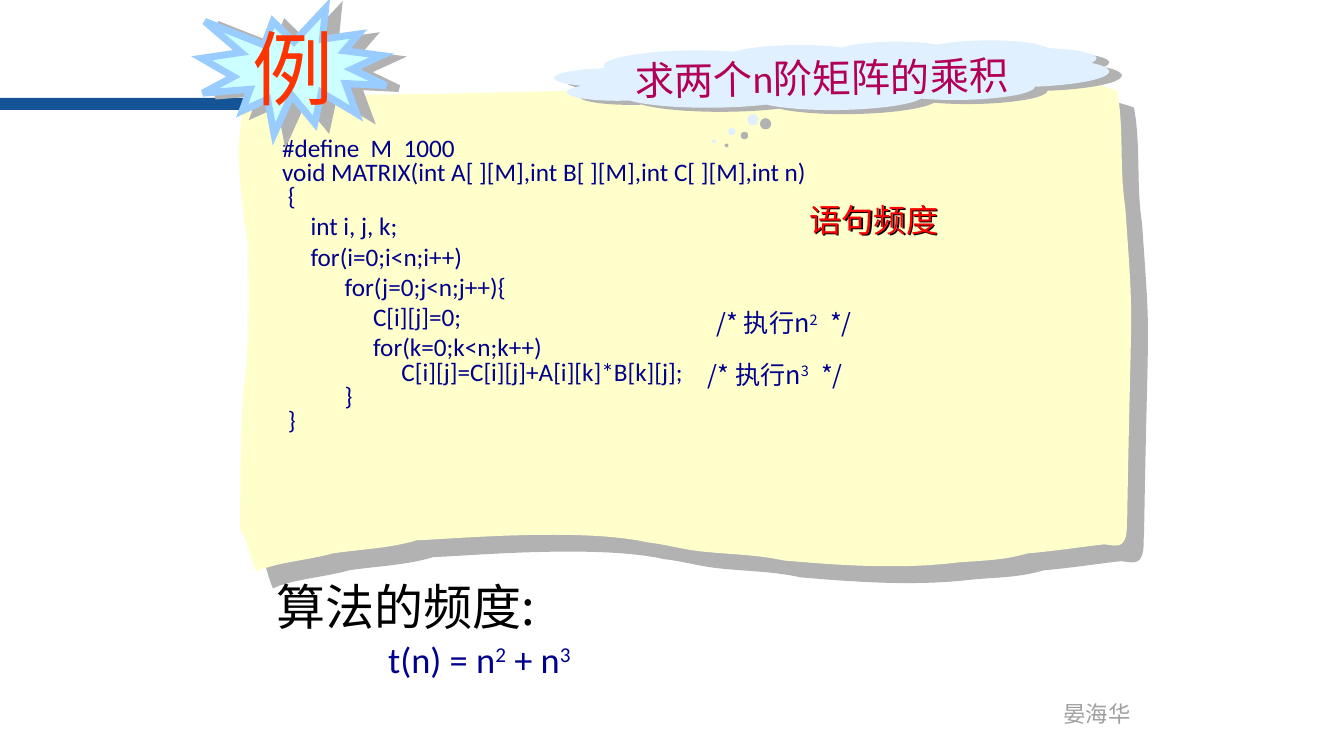
from lxml import etree
from pptx import Presentation
from pptx import util as u
from pptx.dml.color import RGBColor
from pptx.enum import shapes, text
from pptx.oxml import ns

NAVY = RGBColor(0x00, 0x00, 0x8C)
BLUE = RGBColor(0x14, 0x53, 0x96)
CREAM = RGBColor(0xFF, 0xFF, 0xCC)
AQUA = RGBColor(0xCC, 0xFF, 0xFF)
SKY = RGBColor(0x99, 0xCC, 0xFF)
CLOUD = RGBColor(0xE1, 0xF0, 0xFF)
ORANGE = RGBColor(0xFF, 0x33, 0x00)
PLUM = RGBColor(0xB2, 0x00, 0x59)
RED = RGBColor(0xFF, 0x00, 0x00)
BLACK = RGBColor(0x00, 0x00, 0x00)
GREY = RGBColor(0x9F, 0x9F, 0x9F)
SHADE = RGBColor(0xB2, 0xB2, 0xB2)
LATIN, HAN = "Calibri", "Noto Sans CJK SC"
TILT = 359.2

CODE = """#define  M  1000
void MATRIX(int A[ ][M],int B[ ][M],int C[ ][M],int n)
 {
     int i, j, k;
     for(i=0;i<n;i++)
           for(j=0;j<n;j++){
                C[i][j]=0;
                for(k=0;k<n;k++)
                     C[i][j]=C[i][j]+A[i][k]*B[k][j];
           }
 }"""
TIGHT = (0, 1, 2, 8, 9, 10)  # code lines set closer together

# Scroll outline: start point, then Bezier triples
START = (2.75, 0.93)
CURVES = [
    (4.03, 0.96, 5.31, 0.9, 6.59, 0.88), (6.91, 0.84, 7.23, 0.84, 7.56, 0.82),
    (7.73, 0.81, 8.07, 0.77, 8.07, 0.77), (8.77, 0.78, 9.47, 0.78, 10.17, 0.79),
    (10.37, 0.8, 10.57, 0.79, 10.78, 0.82), (10.88, 0.83, 11.08, 0.9, 11.08, 0.9),
    (11.15, 1.28, 11.1, 1.67, 11.16, 2.05), (11.25, 3.34, 11.22, 2.77, 11.18, 5.12),
    (11.17, 5.21, 11.19, 5.31, 11.14, 5.38), (11.09, 5.44, 11.01, 5.4, 10.95, 5.4),
    (10.69, 5.43, 10.44, 5.47, 10.19, 5.49), (9.95, 5.56, 9.75, 5.56, 9.5, 5.58),
    (8.93, 5.65, 8.34, 5.61, 7.77, 5.56), (7.5, 5.5, 7.22, 5.5, 6.95, 5.47),
    (6.77, 5.45, 6.6, 5.4, 6.42, 5.38), (5.75, 5.23, 4.45, 5.35, 4.13, 5.36),
    (3.87, 5.44, 3.57, 5.45, 3.3, 5.49), (3.12, 5.54, 2.94, 5.56, 2.76, 5.6),
    (2.71, 5.61, 2.66, 5.63, 2.61, 5.64), (2.59, 5.65, 2.54, 5.67, 2.54, 5.67),
    (2.48, 5.53, 2.46, 5.37, 2.38, 5.25), (2.39, 4.68, 2.37, 4.2, 2.44, 3.67),
    (2.47, 3.22, 2.47, 2.99, 2.46, 2.46), (2.46, 2.32, 2.17, 1.02, 2.63, 0.75),
    (2.76, 0.79, 2.88, 0.86, 3.01, 0.9), (3.12, 0.94, 3.24, 0.9, 3.35, 0.9),
]


def shade(props, color, dist, angle):
    """Add a sharp outer shadow; dist in points, angle in degrees."""
    fx = etree.SubElement(props, ns.qn("a:effectLst"))
    cast = etree.SubElement(fx, ns.qn("a:outerShdw"), blurRad="0",
                            dist=str(u.Pt(dist)), dir=str(angle * 60000),
                            algn="ctr", rotWithShape="0")
    etree.SubElement(cast, ns.qn("a:srgbClr"), val=str(color))


def paint(shape, fill, line=None, width=0, cast=None):
    shape.fill.solid()
    shape.fill.fore_color.rgb = fill
    if line is None:
        shape.line.fill.background()
    else:
        shape.line.color.rgb = line
        shape.line.width = u.Pt(width)
        etree.SubElement(shape.line._ln, ns.qn("a:miter"), lim="800000")
    if cast:
        shade(shape._element.spPr, SHADE, *cast)
    else:
        shape.shadow.inherit = False
    return shape


def place(shape, box):
    shape.left, shape.top, shape.width, shape.height = map(u.Inches, box)


def style(run, size, color, font):
    run.font.size = u.Pt(size)
    run.font.color.rgb = color
    run.font.name = font
    etree.SubElement(run.font._element, ns.qn("a:ea"), typeface=HAN)


def write(slide, words, box, size=18, color=NAVY, font=LATIN, inset=0.1,
          wrap=True, top=False, tight=(), cast=None, holder=None):
    """Write text in a box; parts between ^ marks are superscript."""
    area = holder or slide.shapes.add_textbox(0, 0, 0, 0)
    place(area, box)
    if cast:
        shade(area._element.spPr, BLACK, *cast)
    frame = area.text_frame
    frame.auto_size = text.MSO_AUTO_SIZE.NONE
    frame.word_wrap = wrap
    frame.margin_left = u.Inches(inset)
    anchor = text.MSO_ANCHOR
    frame.vertical_anchor = anchor.TOP if top else anchor.MIDDLE
    for row, line in enumerate(words.split("\n")):
        para = frame.add_paragraph() if row else frame.paragraphs[0]
        para.alignment = text.PP_ALIGN.LEFT
        if row in tight:
            para.line_spacing = 0.8
        for part, piece in enumerate(line.split("^")):
            if piece:
                run = para.add_run()
                run.text = piece
                style(run, size, color, font)
                if part % 2:
                    run.font._element.set("baseline", "30000")
    return area


def draw(slide, kind, box, fill, **look):
    return paint(slide.shapes.add_shape(kind, *map(u.Inches, box)), fill, **look)


def rule(slide, start, end, color, width):
    line = slide.shapes.add_connector(shapes.MSO_CONNECTOR.STRAIGHT,
                                      *map(u.Inches, start + end))
    line.line.color.rgb = color
    line.line.width = u.Pt(width)
    etree.SubElement(line._element.spPr, ns.qn("a:effectLst"))


def bend(shape):
    """Turn each three line segments of an outline into one Bezier curve."""
    legs = list(shape._element.iter(ns.qn("a:lnTo")))
    for first in range(0, len(legs), 3):
        curve = etree.Element(ns.qn("a:cubicBezTo"))
        legs[first].addprevious(curve)
        for leg in legs[first:first + 3]:
            curve.append(leg[0])
            leg.getparent().remove(leg)


def scroll(slide):
    grid = 1000  # drawing units per inch
    pen = slide.shapes.build_freeform(START[0] * grid, START[1] * grid,
                                      scale=u.Inches(1) / grid)
    spots = [(c[i] * grid, c[i + 1] * grid) for c in CURVES for i in (0, 2, 4)]
    pen.add_line_segments(spots, close=False)
    sheet = pen.convert_to_shape()
    bend(sheet)
    paint(sheet, CREAM, cast=(17, 45))


def main():
    deck = Presentation()
    deck.slide_width, deck.slide_height = u.Inches(13.33), u.Inches(7.5)
    slide = deck.slides.add_slide(deck.slide_layouts[5])
    kinds = shapes.MSO_SHAPE

    # Author, side bar and rule
    write(slide, "晏海华", (10.45, 6.89, 0.88, 0.37), size=16, color=GREY, wrap=False)
    draw(slide, kinds.RECTANGLE, (0, 0.97, 3.72, 0.12), BLUE)
    rule(slide, (3.68, 1.02), (6.62, 1.02), BLUE, 2.25)

    # Scroll with code
    scroll(slide)
    write(slide, CODE, (2.7, 1.32, 8.67, 3.4), top=True, tight=TIGHT)

    # Example badge
    draw(slide, kinds.EXPLOSION1, (2, 0.08, 1.83, 1.25), AQUA,
         line=SKY, width=5, cast=(9.2, 13))
    write(slide, "例", (2.38, 0.13, 1.16, 1.07), size=58, color=ORANGE, inset=0.12)

    # Title on its cloud
    cloud = draw(slide, kinds.CLOUD_CALLOUT, (5.5, 0.42, 5.5, 0.67), CLOUD,
                 cast=(9.5, 18))
    cloud.adjustments[0], cloud.adjustments[1] = -0.214, 0.942
    title = slide.shapes.title
    cloud._element.addnext(title._element)
    write(slide, "求两个n阶矩阵的乘积", (6.2, 0.48, 4.21, 0.57), size=28,
          color=PLUM, holder=title)
    cloud.rotation = title.rotation = TILT

    # Statement frequency and the total
    write(slide, "语句频度", (7.93, 1.94, 1.89, 0.48), size=23, color=RED,
          cast=(1.4, 45))
    write(slide, "算法的频度:", (2.54, 5.67, 4.06, 0.68), size=35, color=BLACK,
          font=HAN, inset=0.2)
    write(slide, "t(n) = n^2^ + n^3", (2.61, 6.27, 7.68, 0.54), size=26, inset=1.24)
    write(slide, "/* 执行n^2  ^ */", (7.01, 2.98, 2.04, 0.44), font=HAN, wrap=False)
    write(slide, "/* 执行n^3  ^ */", (6.87, 3.49, 2.12, 0.44), font=HAN, wrap=False,
          inset=0.15)

    deck.save("out.pptx")


if __name__ == "__main__":
    main()
